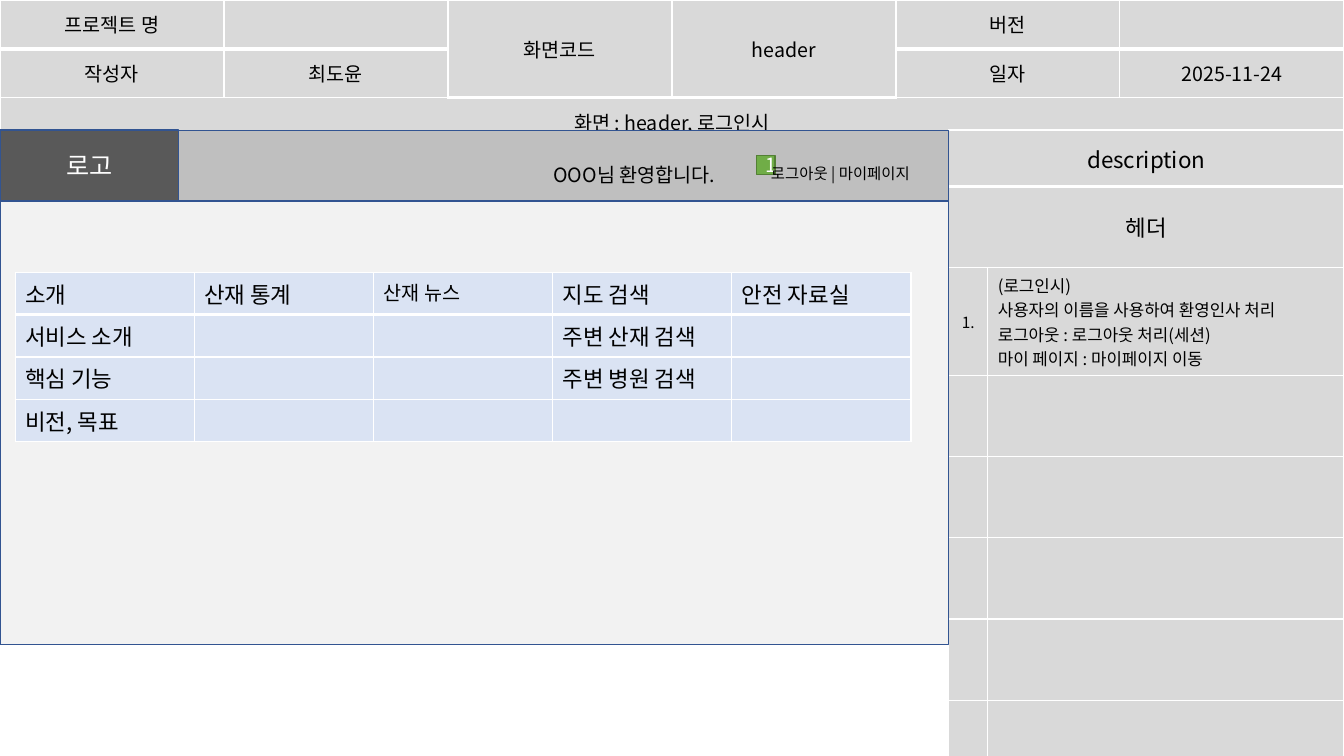
from lxml import etree
from pptx import Presentation
from pptx.dml.color import RGBColor
from pptx.enum.shapes import MSO_SHAPE
from pptx.enum.text import MSO_ANCHOR, PP_ALIGN
from pptx.oxml.ns import qn
from pptx.util import Pt

LEFT, CENTER = PP_ALIGN.LEFT, PP_ALIGN.CENTER
TOP, MIDDLE = MSO_ANCHOR.TOP, MSO_ANCHOR.MIDDLE
RECTANGLE = MSO_SHAPE.RECTANGLE
FONT = "Noto Sans CJK KR"
COLORS = {
    "black": "000000",
    "white": "FFFFFF",
    "form": "D9D9D9",
    "bar": "BFBFBF",
    "logo": "595959",
    "page": "F2F2F2",
    "outline": "325491",
    "menu": "DAE3F3",
    "badge": "70AD47",
    "badge outline": "538035",
}


def write_text(frame, text, size, color="black", align=LEFT):
    frame.word_wrap = True
    for index, line in enumerate(text.split("\n")):
        paragraph = frame.paragraphs[0] if index == 0 else frame.add_paragraph()
        paragraph.alignment = align
        if not line:
            paragraph._p.get_or_add_endParaRPr().set("sz", str(size * 100))
            continue
        run = paragraph.add_run()
        run.text = line
        for name, value in {"name": FONT, "size": Pt(size)}.items():
            setattr(run.font, name, value)
        run.font.color.rgb = RGBColor.from_string(COLORS[color])
        etree.SubElement(run._r.get_or_add_rPr(), qn("a:ea"), typeface=FONT)


def add_grid(left, top, widths, heights, texts, format_values):
    frame = slide.shapes.add_table(
        len(heights), len(widths), Pt(left), Pt(top), Pt(sum(widths)), Pt(sum(heights))
    )
    table = frame.table
    table.first_row = table.horz_banding = False
    for column, width in zip(table.columns, widths):
        column.width = Pt(width)
    for row, height in zip(table.rows, heights):
        row.height = Pt(height)
    for first, last in format_values["merges"]:
        table.cell(*first).merge(table.cell(*last))
    for row in range(len(heights)):
        for column in range(len(widths)):
            cell = table.cell(row, column)
            properties = cell._tc.get_or_add_tcPr()
            for side in ("lnL", "lnR", "lnT", "lnB"):
                weight = 3 if row == 0 and side == "lnB" else 1
                border = etree.SubElement(properties, qn("a:" + side), w=str(Pt(weight)))
                fill = etree.SubElement(border, qn("a:solidFill"))
                etree.SubElement(fill, qn("a:srgbClr"), val=COLORS["white"])
            cell.fill.solid()
            cell.fill.fore_color.rgb = RGBColor.from_string(COLORS[format_values["fill"]])
            cell.margin_left = cell.margin_right = Pt(7.2)
            cell.margin_top = cell.margin_bottom = Pt(format_values["margin"])
            position = (row, column)
            cell.vertical_anchor = MIDDLE if position in format_values["middle"] else TOP
            size = format_values["sizes"].get(position, format_values["size"])
            align = LEFT if position in format_values["left"] else CENTER
            write_text(cell.text_frame, texts.get(position, ""), size, align=align)


presentation = Presentation()
presentation.slide_width, presentation.slide_height = Pt(960), Pt(540)
slide = presentation.slides.add_slide(presentation.slide_layouts[6])

form_texts = {
    (0, 0): "프로젝트 명",
    (0, 2): "화면코드",
    (0, 3): "header",
    (0, 4): "버전",
    (1, 0): "작성자",
    (1, 1): "최도윤",
    (1, 4): "일자",
    (1, 5): "2025-11-24",
    (2, 0): "화면 : header, 로그인시",
}
form_format = {
    "fill": "form", "margin": 7.2, "size": 14, "sizes": {}, "left": [],
    "middle": [(0, 2), (0, 3)],
    "merges": [((0, 2), (1, 2)), ((0, 3), (1, 3)), ((2, 0), (2, 5))],
}
add_grid(0, 0, [160] * 6, [29.5] * 3, form_texts, form_format)

description_texts = {
    (0, 0): "description",
    (1, 0): "헤더",
    (2, 0): "1.",
    (2, 1): "(로그인시)\n사용자의 이름을 사용하여 환영인사 처리\n"
            "로그아웃 : 로그아웃 처리(세션)\n마이 페이지 : 마이페이지 이동",
}
description_format = {
    "fill": "form", "margin": 3.6, "size": 16, "sizes": {(2, 0): 11, (2, 1): 12},
    "left": [(2, 1)],
    "middle": [(0, 0), (1, 0), (2, 0)],
    "merges": [((0, 0), (0, 1)), ((1, 0), (1, 1))],
}
add_grid(677.6, 92.9, [28, 254.4], [40.4] + [58] * 7, description_texts, description_format)

menus = [
    ["소개", "서비스 소개", "핵심 기능", "비전, 목표"],
    ["산재 통계"],
    ["산재 뉴스"],
    ["지도 검색", "주변 산재 검색", "주변 병원 검색"],
    ["안전 자료실"],
]
menu_texts = {
    (row, column): text for column, menu in enumerate(menus) for row, text in enumerate(menu)
}
menu_format = {
    "fill": "menu", "margin": 3.6, "size": 16, "sizes": {(0, 2): 14},
    "left": menu_texts, "middle": [], "merges": [],
}

rectangles = [
    (127.5, 93.4, 550.1, 50.4, "bar", "outline", "", 18),
    (0, 92.9, 127.5, 50.4, "logo", "outline", "로고", 18),
    (0, 143.5, 677.6, 316.8, "page", "outline", "", 18),
    (540.5, 110.9, 13.2, 13.6, "badge", "badge outline", "1", 14),
]
labels = [
    (543.6, 113.8, 127.4, 20.6, "로그아웃 | 마이페이지", 11),
    (388.1, 113, 142.6, 24.2, "OOO님 환영합니다.", 14),
]

for left, top, width, height, fill, outline, text, size in rectangles:
    if fill == "badge":
        add_grid(10.8, 194.4, [128] * 5, [29.2] * 4, menu_texts, menu_format)
    shape = slide.shapes.add_shape(RECTANGLE, Pt(left), Pt(top), Pt(width), Pt(height))
    shape.shadow.inherit = False
    shape.fill.solid()
    shape.fill.fore_color.rgb = RGBColor.from_string(COLORS[fill])
    shape.line.color.rgb = RGBColor.from_string(COLORS[outline])
    shape.line.width = Pt(1)
    shape.text_frame.vertical_anchor = MIDDLE
    write_text(shape.text_frame, text, size, "white", CENTER)

for left, top, width, height, text, size in labels:
    label = slide.shapes.add_textbox(Pt(left), Pt(top), Pt(width), Pt(height))
    write_text(label.text_frame, text, size)

presentation.save("out.pptx")
